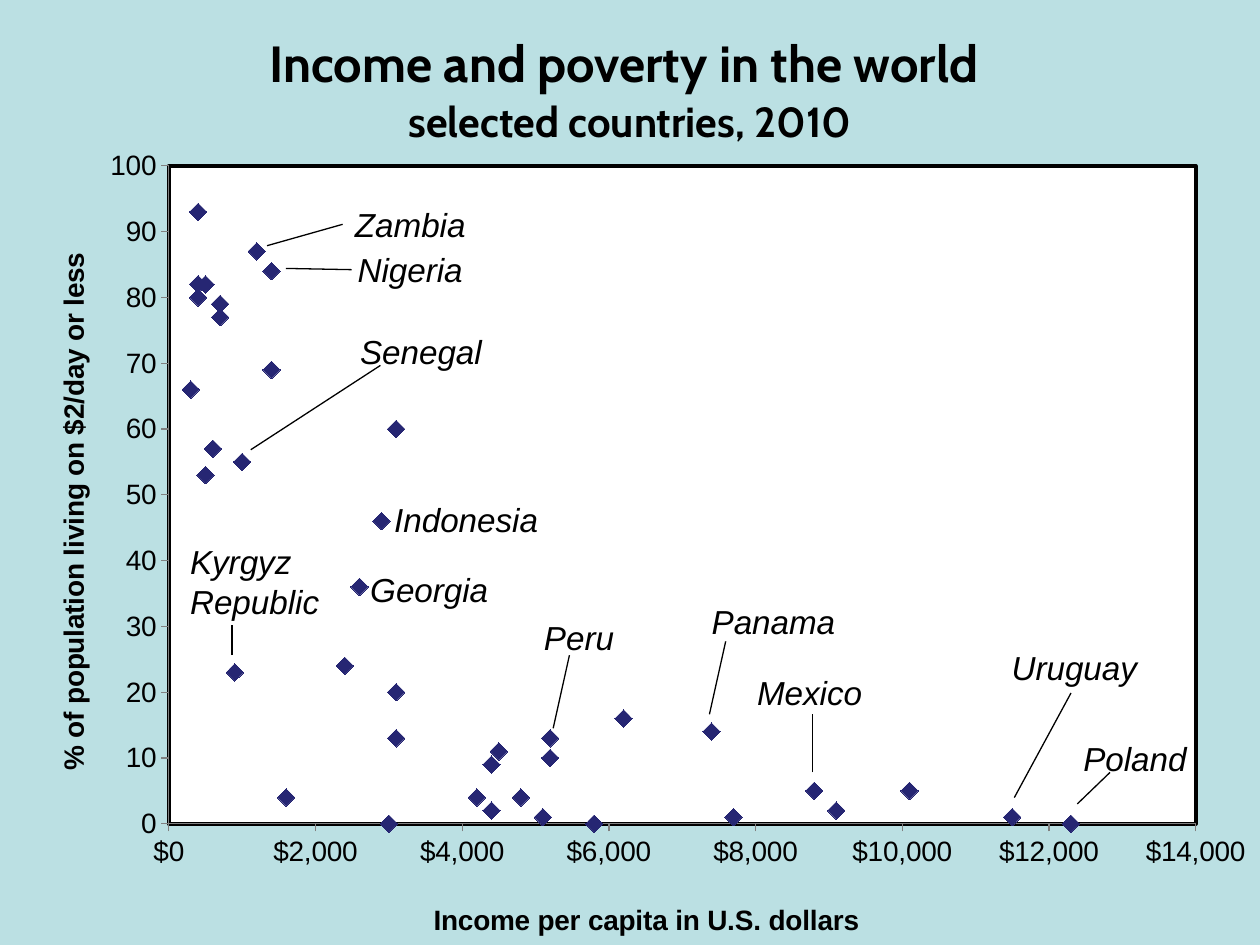
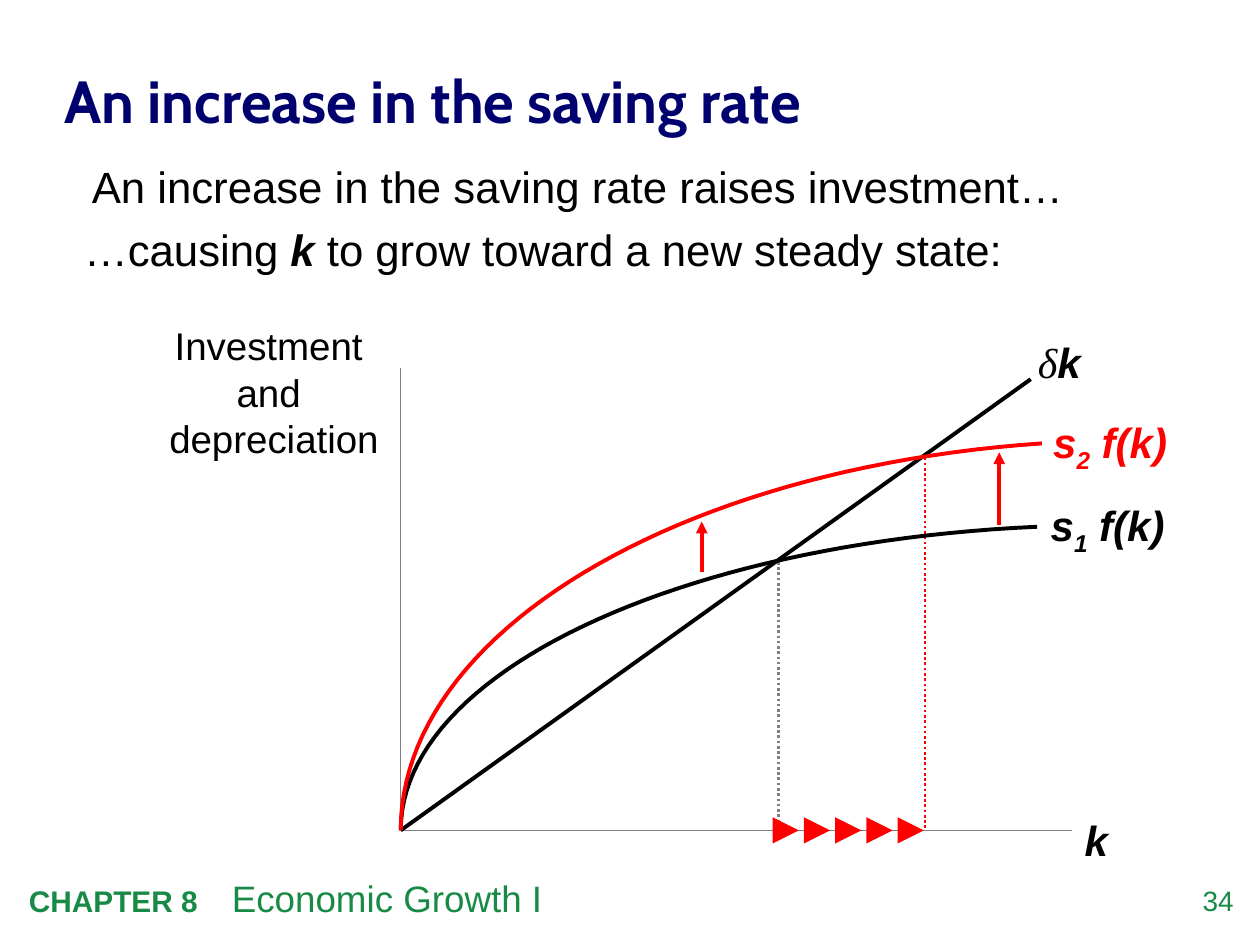
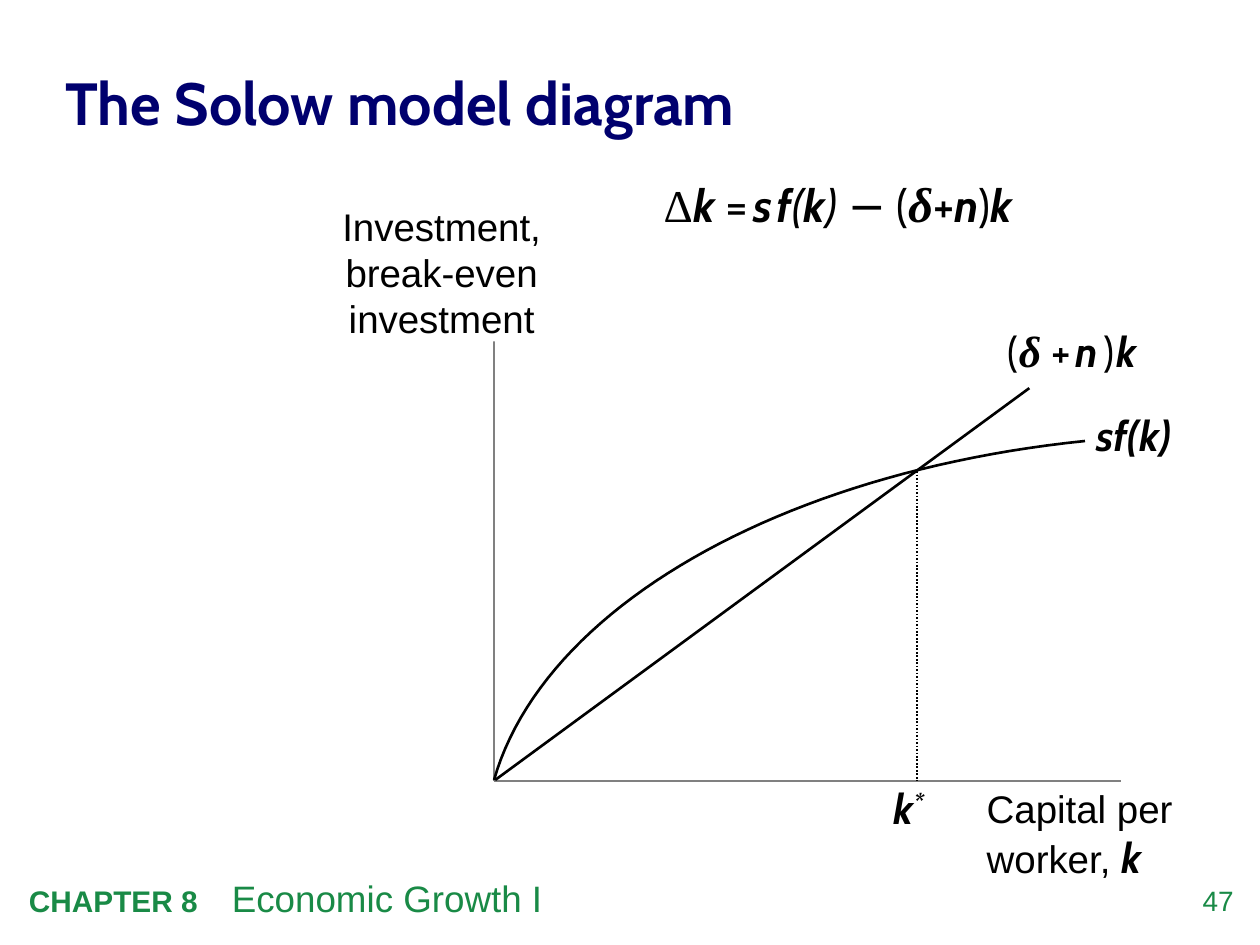
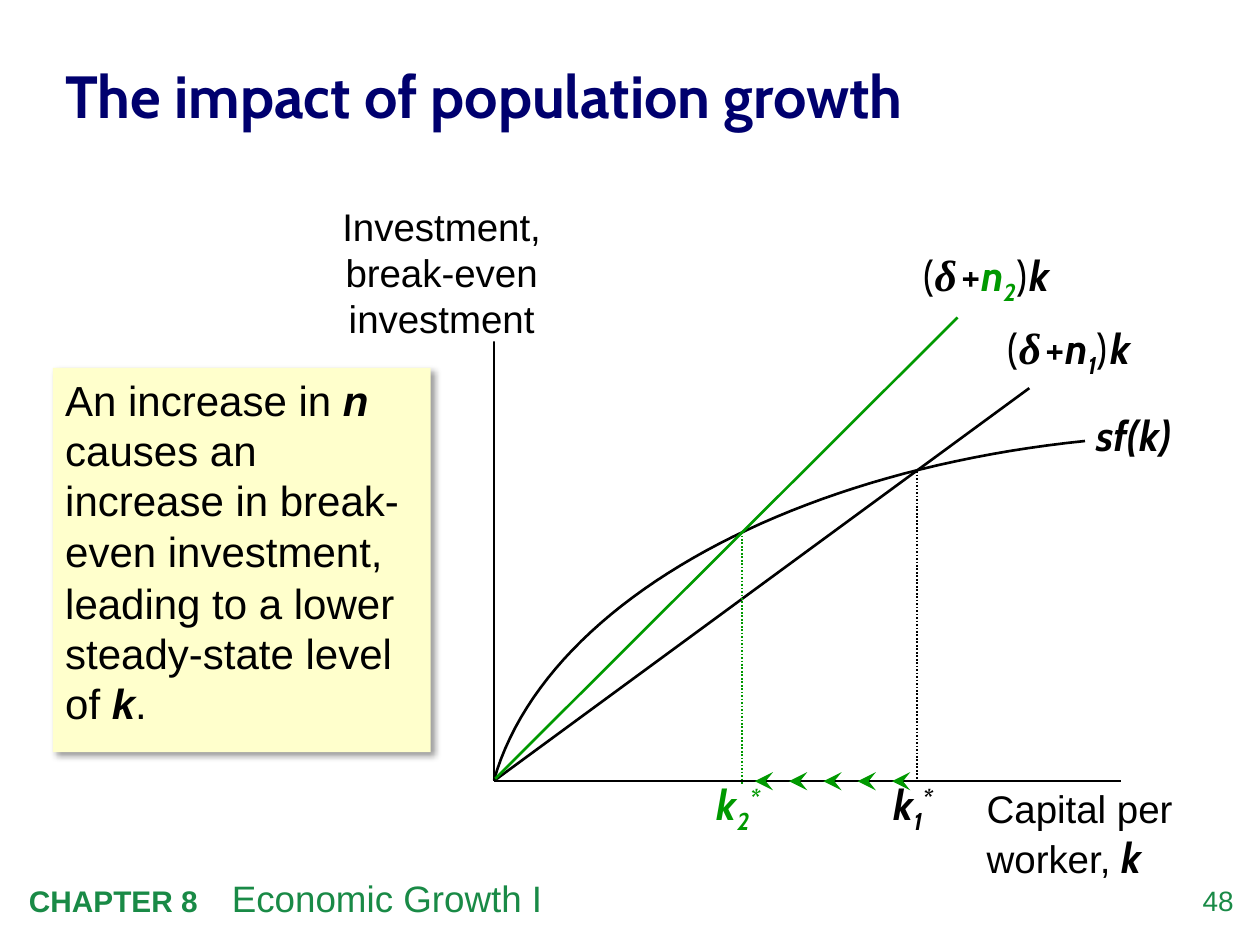
from lxml import etree
from pptx import Presentation
from pptx.chart.data import XyChartData
from pptx.dml.color import RGBColor
from pptx.enum.chart import XL_CHART_TYPE, XL_MARKER_STYLE, XL_TICK_MARK
from pptx.enum.dml import MSO_LINE
from pptx.enum.shapes import MSO_CONNECTOR, MSO_SHAPE
from pptx.enum.text import MSO_ANCHOR, MSO_AUTO_SIZE, PP_ALIGN
from pptx.oxml.ns import qn
from pptx.util import Pt

LEFT, CENTER, RIGHT = PP_ALIGN.LEFT, PP_ALIGN.CENTER, PP_ALIGN.RIGHT
TOP, MIDDLE = MSO_ANCHOR.TOP, MSO_ANCHOR.MIDDLE
DOTTED = MSO_LINE.ROUND_DOT
STRAIGHT, RECTANGLE = MSO_CONNECTOR.STRAIGHT, MSO_SHAPE.RECTANGLE

BLACK = RGBColor(0x00, 0x00, 0x00)
WHITE = RGBColor(0xFF, 0xFF, 0xFF)
GRAY = RGBColor(0x80, 0x80, 0x80)
RED = RGBColor(0xFF, 0x00, 0x00)
GREEN = RGBColor(0x00, 0x99, 0x00)
NAVY = RGBColor(0x00, 0x00, 0x6E)
FOOTER_GREEN = RGBColor(0x19, 0x8A, 0x46)
MARKER_BLUE = RGBColor(0x26, 0x26, 0x73)
PALE_BLUE = RGBColor(0xBB, 0xE0, 0xE3)
PALE_YELLOW = RGBColor(0xFF, 0xFF, 0xCC)

ARIAL, CABIN, TIMES = "Arial", "Cabin", "Times New Roman"
DEFAULT_INSETS = (7.2, 3.6, 7.2, 3.6)
NO_INSETS = (0, 0, 0, 0)
FORMULA_INSETS = (0, 0, 0, 7.2)

# Content. A text is a string or a list of spans (text, marks, size).
# Marks: b bold, i italic, v subscript, ^ superscript,
# A Arial, C Cabin, T Times, g green. Size may be left out.
CHAPTER = [("CHAPTER 8\t", "b", 17), ("Economic Growth I", "", 21)]

INCOME_TITLE = [("Income and poverty in the world \n", "b", 29),
                ("selected countries, 2010", "b", 24)]
INCOME_AXIS = "Income per capita in U.S. dollars"
POVERTY_AXIS = "% of population living on $2/day or less"
COUNTRIES = [
    (300, 66), (400, 82), (400, 93), (400, 80), (500, 53), (500, 82),
    (600, 57), (700, 77), (700, 79), (900, 23), (1000, 55), (1200, 87),
    (1400, 69), (1400, 84), (1600, 4), (2400, 24), (2600, 36), (2900, 46),
    (3000, 0), (3100, 60), (3100, 13), (3100, 20), (4200, 4), (4400, 2),
    (4400, 9), (4500, 11), (4800, 4), (5100, 1), (5200, 10), (5200, 13),
    (5800, 0), (6200, 16), (7400, 14), (7700, 1), (8800, 5), (9100, 2),
    (10100, 5), (11500, 1), (12300, 0),
]
# Name, left, top, width, pointer
COUNTRY_LABELS = [
    ("Zambia", 195.8, 113, 127.4, (152.6, 140.4, 195.8, 128.2)),
    ("Nigeria", 197.3, 139, 127.4, (163.4, 153.4, 200.9, 154.1)),
    ("Senegal", 198.7, 185.8, 90.7, (143.3, 257, 217.4, 208.8)),
    ("Indonesia", 218.2, 281.5, 127.4, None),
    ("Georgia", 204.5, 321.8, 91.4, None),
    ("Kyrgyz Republic", 101.5, 306, 97.2, (132.5, 374.4, 132.5, 357.1)),
    ("Peru", 303.8, 349.2, 67.7, (316.1, 416.2, 325.4, 374.4)),
    ("Panama", 399.6, 339.8, 103.7, (405.4, 408.2, 414.7, 366.5)),
    ("Mexico", 425.5, 380.9, 77.8, (464.4, 441.4, 464.4, 408.2)),
    ("Uruguay", 571, 366.5, 89.3, (579.6, 455.8, 612, 396)),
    ("Poland", 612, 418.3, 74.9, (615.6, 459.4, 634.3, 441.4)),
]

SAVING_LINES = [
    ("An increase in the saving rate raises investment…", (45.4, 87.8, 634, 37.4)),
    ([("…causing ", ""), ("k", "bi"), (" to grow toward a new steady state:", "")],
     (41, 123.8, 635, 37.4)),
]
# Color, curve control points, subscript, label frame
SAVING_CURVES = [
    (BLACK, [(592.6, 301), (385.9, 310.3), (229, 385.2), (229, 474.5)],
     "1", (593.3, 282.2, 85, 36)),
    (RED, [(595.4, 253.4), (385.9, 267.8), (229, 362.2), (229, 474.5)],
     "2", (594.7, 234.7, 102.2, 36)),
]

SOLOW_CURVE = [(620, 252), (445, 270), (310.3, 347.8), (282.3, 445.7)]
CAPITAL_AXIS = [("Capital per \nworker, ", "A", 22), ("k", "bi")]
DELTA = ("δ", "Tbi", 25)
SOLOW_FORMULA = [
    ("Δ", "T"), ("k ", "bi"), ("=", ""), (" ", "", 13), ("s", "bi"),
    (" ", "bi", 12), ("f", "bi"), ("(", "i"), ("k", "bi"), (") ", "i"),
    ("− (", ""), ("δ", "Tbi", 28), ("+", ""), ("n", "bi"), (")", ""), ("k", "bi"),
]
BREAK_EVEN = [("(", ""), DELTA, (" ", "Tbi"), ("+", ""), (" ", "", 12), ("n", "bi"),
              (" ", "", 12), (")", ""), (" ", "", 6), ("k", "bi")]
NOTE_TOP = [("An increase in ", ""), ("n", "bi"),
            (" causes an increase in break-even investment,", "")]
NOTE_BOTTOM = [("leading to a lower steady-state level of ", ""), ("k", "bi"), (".", "")]


def growth_line_label(number, marks=""):
    return [("(", ""), DELTA, (" ", "", 12), ("+", ""), ("n", "bi" + marks),
            (number, "biv" + marks), (")", ""), (" ", "", 6), ("k", "bi")]


# Shared drawing helpers
def place(frame):
    return [Pt(length) for length in frame]


def add_text(slide, frame, content, size, font=ARIAL, color=BLACK, marks="",
             align=LEFT, anchor=TOP, insets=DEFAULT_INSETS, fill=None, grow=True):
    if fill is None:
        box = slide.shapes.add_textbox(*place(frame))
    else:
        box = slide.shapes.add_shape(RECTANGLE, *place(frame))
        box.shadow.inherit = False
        box.fill.solid()
        box.fill.fore_color.rgb = fill
        box.line.fill.background()
    text_frame = box.text_frame
    text_frame.word_wrap = True
    text_frame.auto_size = MSO_AUTO_SIZE.SHAPE_TO_FIT_TEXT if grow else MSO_AUTO_SIZE.NONE
    text_frame.vertical_anchor = anchor
    (text_frame.margin_left, text_frame.margin_top,
     text_frame.margin_right, text_frame.margin_bottom) = place(insets)
    para = text_frame.paragraphs[0]
    para.alignment = align
    spans = [(content, marks)] if isinstance(content, str) else content
    for text, span_marks, *own_size in spans:
        for index, line in enumerate(text.split("\n")):
            if index:
                para.add_line_break()
            if line:
                span = para.add_run()
                span.text = line
                format_span(span, span_marks, own_size[0] if own_size else size, font, color)
    return box


def format_span(span, marks, size, font, color):
    fonts = [name for mark, name in (("A", ARIAL), ("C", CABIN), ("T", TIMES)) if mark in marks]
    span.font.name = fonts[0] if fonts else font
    span.font.size = Pt(size)
    span.font.bold = "b" in marks
    span.font.italic = "i" in marks
    span.font.color.rgb = GREEN if "g" in marks else color
    for mark, baseline in (("v", "-25000"), ("^", "30000")):
        if mark in marks:
            span._r.get_or_add_rPr().set("baseline", baseline)


def add_line(slide, ends, color=BLACK, width=0.75, dash=None,
             arrow=None, arrow_end="tailEnd", arrow_size="med"):
    line = slide.shapes.add_connector(STRAIGHT, *place(ends))
    line.line.color.rgb = color
    line.line.width = Pt(width)
    if dash:
        line.line.dash_style = dash
    if arrow:
        etree.SubElement(line.line._get_or_add_ln(), qn("a:" + arrow_end),
                         type=arrow, w=arrow_size, len=arrow_size)
    etree.SubElement(line._element.spPr, qn("a:effectLst"))


def add_curve(slide, controls, color, width, steps=48):
    points = []
    for step in range(steps + 1):
        t = step / steps
        weights = ((1 - t) ** 3, 3 * t * (1 - t) ** 2, 3 * t ** 2 * (1 - t), t ** 3)
        points.append(tuple(Pt(sum(w * point[axis] for w, point in zip(weights, controls)))
                            for axis in (0, 1)))
    builder = slide.shapes.build_freeform(*points[0])
    builder.add_line_segments(points[1:], close=False)
    curve = builder.convert_to_shape()
    curve.shadow.inherit = False
    curve.fill.background()
    curve.line.color.rgb = color
    curve.line.width = Pt(width)


def add_axes(slide, top, corner, right, color, width):
    left, bottom = corner
    add_line(slide, (left, top, left, bottom), color, width)
    add_line(slide, (left, bottom, right, bottom), color, width)


def add_slide(deck, background):
    slide = deck.slides.add_slide(deck.slide_layouts[6])
    slide.background.fill.solid()
    slide.background.fill.fore_color.rgb = background
    return slide


def add_title(slide, frame, content, color=NAVY, align=LEFT):
    title = add_text(slide, frame, content, 34, CABIN, color, "b", align,
                     MIDDLE, NO_INSETS, grow=False)
    title.text_frame.paragraphs[0].line_spacing = 1.05


def add_chapter_slide(deck, title, title_frame, number):
    slide = add_slide(deck, WHITE)
    add_text(slide, (665.3, 504.7, 39.6, 23), number, 16, color=FOOTER_GREEN,
             align=RIGHT, insets=NO_INSETS, grow=False)
    footer = add_text(slide, (9.4, 496.8, 589, 32.4), CHAPTER, 17, color=FOOTER_GREEN)
    properties = footer.text_frame.paragraphs[0]._p.get_or_add_pPr()
    tabs = etree.SubElement(properties, qn("a:tabLst"))
    etree.SubElement(tabs, qn("a:tab"), pos=str(Pt(116)), algn="l")
    add_title(slide, title_frame, title)
    return slide


# Scatter chart
def set_layout(parent, index, **values):
    layout = parent.find(qn("c:layout"))
    if layout is None:
        layout = etree.Element(qn("c:layout"))
        parent.insert(index, layout)
    manual = etree.SubElement(layout, qn("c:manualLayout"))
    if "w" in values:
        etree.SubElement(manual, qn("c:layoutTarget"), val="inner")
    for name in ("xMode", "yMode"):
        etree.SubElement(manual, qn("c:" + name), val="edge")
    for name, value in values.items():
        etree.SubElement(manual, qn("c:" + name), val=str(value))


def format_axis(axis, title, maximum, step, title_x, title_y):
    axis.minimum_scale, axis.maximum_scale, axis.major_unit = 0, maximum, step
    axis.has_major_gridlines = False
    axis.major_tick_mark = XL_TICK_MARK.OUTSIDE
    axis.minor_tick_mark = XL_TICK_MARK.NONE
    axis.format.line.color.rgb = GRAY
    axis.format.line.width = Pt(0.75)
    axis.axis_title.text_frame.text = title
    title_font = axis.axis_title.text_frame.paragraphs[0].runs[0].font
    title_font.bold = True
    for font in (axis.tick_labels.font, title_font):
        font.name, font.size = ARIAL, Pt(16)
        font.color.rgb = BLACK
    set_layout(axis.axis_title._element, 1, x=title_x, y=title_y)


def add_scatter(slide):
    data = XyChartData()
    countries = data.add_series("Series 1")
    for income, poverty in COUNTRIES:
        countries.add_data_point(income, poverty)
    chart = slide.shapes.add_chart(XL_CHART_TYPE.XY_SCATTER,
                                   *place((0, 82, 720, 458)), data).chart
    chart.has_legend = chart.has_title = False
    chart.font.name, chart.font.size = ARIAL, Pt(10)
    chart.font.color.rgb = BLACK
    chart.plots[0].vary_by_categories = False
    series = chart.plots[0].series[0]
    series.smooth = False
    series.format.line.fill.background()
    series.marker.style, series.marker.size = XL_MARKER_STYLE.DIAMOND, 10
    series.marker.format.fill.solid()
    series.marker.format.fill.fore_color.rgb = MARKER_BLUE
    series.marker.format.line.color.rgb = MARKER_BLUE
    format_axis(chart.category_axis, INCOME_AXIS, 14000, 2000, 0.34, 0.94)
    format_axis(chart.value_axis, POVERTY_AXIS, 100, 10, 0.04, 0.13)
    chart.category_axis.tick_labels.number_format = '"$"#,##0'
    chart.category_axis.tick_labels.number_format_is_linked = False
    # Plot area: place, white fill, black frame
    plot_area = chart._chartSpace.chart.plotArea
    set_layout(plot_area, 0, x=0.134, y=0.028, w=0.815, h=0.821)
    look = etree.SubElement(plot_area, qn("c:spPr"))
    frame = etree.Element(qn("a:ln"), w=str(Pt(2.25)))
    for parent, color in ((look, WHITE), (frame, BLACK)):
        fill = etree.SubElement(parent, qn("a:solidFill"))
        etree.SubElement(fill, qn("a:srgbClr"), val=str(color))
    look.append(frame)


# Slides
def build_income_slide(deck):
    slide = add_slide(deck, PALE_BLUE)
    add_title(slide, (0, 11.5, 720, 77), INCOME_TITLE, BLACK, CENTER)
    add_scatter(slide)
    for name, left, top, width, pointer in COUNTRY_LABELS:
        if pointer:
            add_line(slide, pointer)
        height = 53.3 if " " in name else 30.2
        add_text(slide, (left, top, width, height), name, 19, marks="i")


def build_saving_slide(deck):
    slide = add_chapter_slide(deck, "An increase in the saving rate",
                              (36.7, 18.7, 649.4, 74.2), "34")
    for content, frame in SAVING_LINES:
        add_text(slide, frame, content, 25)
    origin = 229, 474.5
    add_axes(slide, 210.2, origin, 612.7, GRAY, 0.75)
    add_text(slide, (78.5, 180.7, 156.2, 86.4), "Investment \nand \ndepreciation", 22,
             align=CENTER, insets=(3.6,) * 4)
    add_text(slide, (612.7, 462.2, 36, 36), "k", 24, marks="bi")
    add_text(slide, (586, 188.6, 51.8, 37.4), [("δ", "Ti"), ("k", "bi")], 24)
    add_line(slide, (*origin, 589, 216.7), BLACK, 2.25)
    # Steady states
    add_line(slide, (445, 321.1, 445, 474.5), GRAY, 1.5, DOTTED)
    add_line(slide, (528.5, 261.4, 528.5, 474.5), RED, 1.5, DOTTED)
    for color, controls, number, frame in SAVING_CURVES:
        add_curve(slide, controls, color, 2.25)
        label = [("s", "bi"), (number, "biv"), (" f(k)", "bi")]
        add_text(slide, frame, label, 24, color=color)
    # Shift upward, then growth of k
    for x, bottom, top in ((571, 300.2, 258.5), (401, 326.9, 298.1)):
        add_line(slide, (x, bottom, x, top), RED, 2.25, arrow="triangle")
    for index in range(5):
        x = 450.7 + 17.85 * index
        add_line(slide, (x, 474.5, x + 5.8, 474.5), RED, 3,
                 arrow="triangle", arrow_size="lg")


def add_formula_label(slide, frame, content, insets=NO_INSETS, **look):
    add_text(slide, frame, content, 24, CABIN, anchor=MIDDLE, insets=insets, **look)


def add_solow_diagram(slide, axis_color):
    add_axes(slide, 170.6, (282.2, 446.4), 640.8, axis_color, 1)
    add_text(slide, (180, 115.9, 144.7, 79.2), "Investment, break-even investment", 22,
             align=CENTER, anchor=MIDDLE, insets=NO_INSETS, fill=WHITE)
    add_formula_label(slide, (563.8, 448.6, 126, 55.4), CAPITAL_AXIS)
    add_curve(slide, SOLOW_CURVE, BLACK, 1.5)
    add_formula_label(slide, (626.4, 234, 74.9, 28.8), "sf(k)", marks="bi")
    add_line(slide, (283, 445.7, 588.2, 221.8), BLACK, 1.5)
    add_line(slide, (524.2, 269.3, 524.2, 446.4), BLACK, 1, DOTTED)


def build_solow_slide(deck):
    slide = add_chapter_slide(deck, "The Solow model diagram",
                              (37.4, 24.5, 566.6, 64.8), "47")
    add_solow_diagram(slide, GRAY)
    add_formula_label(slide, (576, 185, 108, 30.2), BREAK_EVEN)
    add_formula_label(slide, (510.5, 447.1, 41.8, 36), [("k", "bi"), ("*", "bi^")],
                      FORMULA_INSETS)
    formula = add_text(slide, (372.2, 95.8, 282.2, 41), SOLOW_FORMULA, 26, CABIN, fill=WHITE)
    fill_color = formula._element.spPr.find(qn("a:solidFill"))[0]
    etree.SubElement(fill_color, qn("a:alpha"), val="50000")


def build_population_slide(deck):
    slide = add_chapter_slide(deck, "The impact of population growth",
                              (37.4, 18, 566.6, 70.6), "48")
    add_solow_diagram(slide, BLACK)
    add_formula_label(slide, (576, 185, 108, 30.2), growth_line_label("1"))
    add_formula_label(slide, (527.8, 143.3, 108, 37.4), growth_line_label("2", "g"),
                      FORMULA_INSETS)
    add_line(slide, (283, 445, 547.2, 181.4), GREEN, 1.5)
    add_line(slide, (424.1, 306, 424.1, 447.8), GREEN, 1, DOTTED)
    for number, marks, left in (("1", "", 510.5), ("2", "g", 409.7)):
        label = [("k", "bi" + marks), (number, "biv" + marks), ("*", "bi^" + marks)]
        add_formula_label(slide, (left, 446.8, 41.8, 36), label, FORMULA_INSETS)
    for index in range(5):
        x = 431.3 + 19.6 * index
        add_line(slide, (x, 446.4, x + 6.1, 446.4), GREEN, 3.5,
                 arrow="stealth", arrow_end="headEnd")
    # Note with a soft shadow
    note = add_text(slide, (30.2, 210.2, 216, 219.6), NOTE_TOP, 24,
                    fill=PALE_YELLOW, grow=False)
    effects = note._element.spPr.find(qn("a:effectLst"))
    shadow = etree.SubElement(effects, qn("a:outerShdw"), blurRad=str(Pt(4)),
                              dist=str(Pt(3)), dir="2700000", algn="tl", rotWithShape="0")
    shadow_color = etree.SubElement(shadow, qn("a:srgbClr"), val=str(BLACK))
    etree.SubElement(shadow_color, qn("a:alpha"), val="40000")
    add_text(slide, (30.2, 326.2, 216, 93.6), NOTE_BOTTOM, 24)


def main():
    deck = Presentation()
    deck.slide_width, deck.slide_height = Pt(720), Pt(540)
    build_income_slide(deck)
    build_saving_slide(deck)
    build_solow_slide(deck)
    build_population_slide(deck)
    deck.save("out.pptx")


if __name__ == "__main__":
    main()
